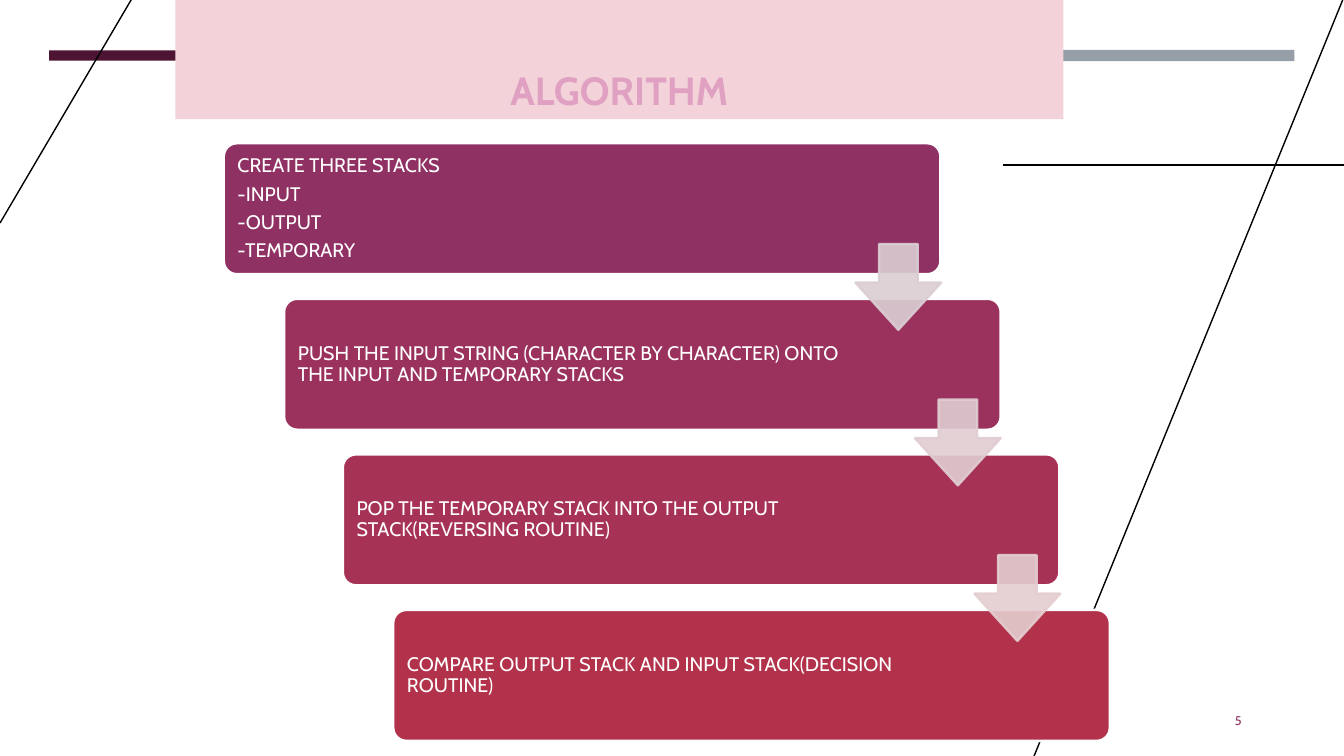
from pptx import Presentation
from pptx.dml.color import RGBColor
from pptx.enum.shapes import MSO_CONNECTOR as Connector, MSO_SHAPE as Shape
from pptx.enum.text import MSO_ANCHOR as Anchor, PP_ALIGN as Align
from pptx.oxml.ns import qn
from pptx.util import Cm, Pt
from lxml.etree import SubElement

TITLE = "ALGORITHM"
PAGE_NUMBER = "5"
# Lines of text, card colour, left edge in cm
STEPS = [
    (["CREATE THREE STACKS", "-INPUT", "-OUTPUT", "-TEMPORARY"], "903163", 5.64),
    (["PUSH THE INPUT STRING (CHARACTER BY CHARACTER) ONTO "
      "THE INPUT AND TEMPORARY STACKS"], "9B325D", 7.16),
    (["POP THE TEMPORARY STACK INTO THE OUTPUT "
      "STACK(REVERSING ROUTINE)"], "A63256", 8.64),
    (["COMPARE OUTPUT STACK AND INPUT STACK(DECISION ROUTINE)"], "B2324B", 9.91),
]
ARROW_COLORS = ["DBCED3", "E0CDD2", "E4CED0"]
# Left, top, width, height in cm, colour
BARS = [
    (1.24, 1.27, 10.29, 0.26, "4D1434"),
    (22.33, 1.26, 10.29, 0.28, "969FA7"),
    (11.79, 1.27, 10.29, 0.26, "903163"),
]
# Start x, y and end x, y in cm
RULES = [
    (25.27, 4.16, 33.87, 4.16),
    (33.87, -0.08, 26.06, 19.05),
    (0, 5.62, 3.35, -0.08),
]

THEME = {
    "font": "Cabin", "title_size": 28, "step_size": 14, "number_size": 9,
    "title": "DFA0C1", "title_fill": "F3D3D9", "number": "903163",
    "white": "FFFFFF", "rule": "000000", "outline": 1.75,
}

CARD_TOP, CARD_WIDTH, CARD_HEIGHT, STEP_PITCH = 3.61, 18.06, 3.3, 3.92
ARROW_LEFT, ARROW_TOP, ARROW_SIZE, ARROW_SHIFT = 21.56, 6.15, 2.16, 1.5


def set_opacity(color_format, percent):
    color = color_format._xFill.find(qn("a:srgbClr"))
    SubElement(color, qn("a:alpha"), val=str(percent * 1000))


def add_block(page, kind, left, top, width, height, fill,
              line=None, adjust=(), opacity=None):
    box = page.shapes.add_shape(kind, Cm(left), Cm(top), Cm(width), Cm(height))
    box.shadow.inherit = False
    for index, value in enumerate(adjust):
        box.adjustments[index] = value
    box.fill.solid()
    box.fill.fore_color.rgb = RGBColor.from_string(fill)
    if line:
        box.line.color.rgb = RGBColor.from_string(line)
        box.line.width = Pt(THEME["outline"])
    else:
        box.line.fill.background()
    if opacity:
        for color in list(box._element.spPr.iter(qn("a:srgbClr"))):
            SubElement(color, qn("a:alpha"), val=str(opacity * 1000))
    return box


def write(box, lines, size, color, align=Align.LEFT, anchor=Anchor.MIDDLE,
          bold=False, spacing=None, after=0, insets=(0.25, 0.13, 0.25, 0.13)):
    """Fill a box with paragraphs; insets are left, top, right, bottom in cm."""
    frame = box.text_frame
    frame.word_wrap = True
    frame.vertical_anchor = anchor
    (frame.margin_left, frame.margin_top,
     frame.margin_right, frame.margin_bottom) = map(Cm, insets)
    for index, line in enumerate(lines):
        para = frame.add_paragraph() if index else frame.paragraphs[0]
        para.alignment = align
        para.space_after = Pt(after)
        if spacing:
            para.line_spacing = spacing
        span = para.add_run()
        span.text = line
        span.font.name = THEME["font"]
        span.font.size = Pt(size)
        span.font.bold = bold
        span.font.color.rgb = RGBColor.from_string(color)


def add_rule(page, *ends):
    rule = page.shapes.add_connector(Connector.STRAIGHT, *map(Cm, ends))
    rule.line.color.rgb = RGBColor.from_string(THEME["rule"])
    rule.line.width = Pt(1)
    SubElement(rule._element.spPr, qn("a:effectLst"))


def main():
    deck = Presentation()
    deck.slide_width, deck.slide_height = Cm(33.87), Cm(19.05)
    page = deck.slides.add_slide(deck.slide_layouts[6])

    for bar in BARS:
        add_block(page, Shape.RECTANGLE, *bar)
    for ends in RULES:
        add_rule(page, *ends)

    banner = add_block(page, Shape.SNIP_2_DIAG_RECTANGLE, 4.42, -0.05, 22.38, 3.05,
                       THEME["title_fill"], adjust=(0, 0))
    write(banner, [TITLE], THEME["title_size"], THEME["title"],
          align=Align.CENTER, anchor=Anchor.BOTTOM, bold=True)

    number = page.shapes.add_textbox(Cm(28.8), Cm(17.65), Cm(2.74), Cm(1.02))
    write(number, [PAGE_NUMBER], THEME["number_size"], THEME["number"],
          align=Align.RIGHT)

    for index, (lines, color, left) in enumerate(STEPS):
        card = add_block(page, Shape.ROUNDED_RECTANGLE, left,
                         CARD_TOP + index * STEP_PITCH, CARD_WIDTH, CARD_HEIGHT,
                         color, line=THEME["white"], adjust=(0.1,))
        write(card, lines, THEME["step_size"], THEME["white"], spacing=0.9,
              after=4.9, insets=(0.25, 0.25, 3.9, 0.25))

    for index, color in enumerate(ARROW_COLORS):
        add_block(page, Shape.DOWN_ARROW, ARROW_LEFT + index * ARROW_SHIFT,
                  ARROW_TOP + index * STEP_PITCH, ARROW_SIZE, ARROW_SIZE,
                  color, line=color, adjust=(0.45, 0.55), opacity=90)

    deck.save("out.pptx")


if __name__ == "__main__":
    main()
